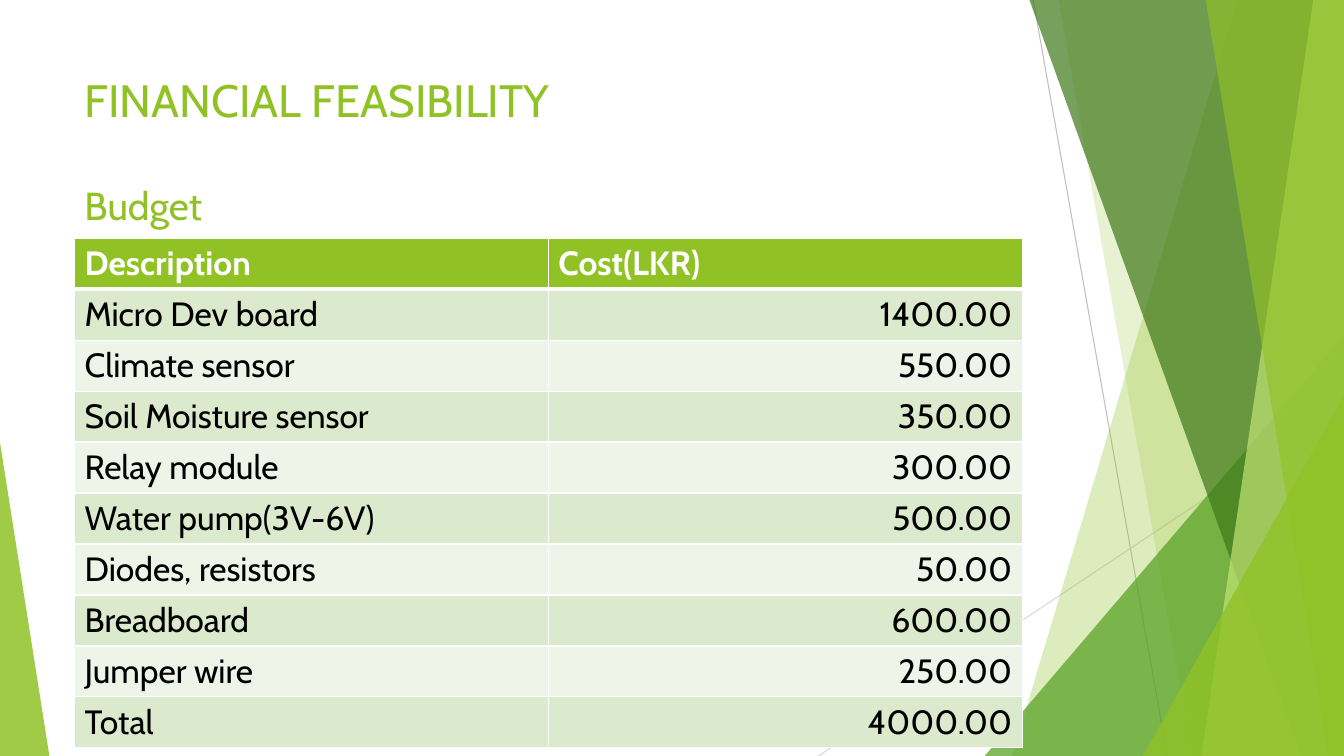
from lxml import etree
from pptx import Presentation
from pptx.dml.color import RGBColor
from pptx.enum.shapes import MSO_CONNECTOR, MSO_SHAPE
from pptx.enum.text import PP_ALIGN
from pptx.oxml.ns import qn
from pptx.util import Pt

STRAIGHT = MSO_CONNECTOR.STRAIGHT
TRIANGLE = MSO_SHAPE.ISOSCELES_TRIANGLE
LEFT, RIGHT = PP_ALIGN.LEFT, PP_ALIGN.RIGHT

THEME = {
    "font": "Cabin",
    "title": 32.4, "subtitle": 27.9, "cell": 24,
    "lime": "90C226", "green": "54A021", "forest": "3F7819", "pale": "C0E474",
    "gray": "BFBFBF", "light_gray": "D9D9D9",
    "white": "FFFFFF", "black": "000000",
    "bands": ("DBE9CD", "EEF4E8"),
}


def paint(shape, color, opacity):
    shape.shadow.inherit = False
    shape.line.fill.background()
    shape.fill.solid()
    shape.fill.fore_color.rgb = RGBColor.from_string(THEME[color])
    tint = shape.fill._xPr.find(qn("a:solidFill"))[0]
    etree.SubElement(tint, qn("a:alpha"), val=str(opacity * 1000))


def write(paragraph, text, size, color, bold=False):
    run = paragraph.add_run()
    run.text = text
    run.font.color.rgb = RGBColor.from_string(color)
    formats = {"name": THEME["font"], "size": Pt(size), "bold": bold}
    for name, value in formats.items():
        setattr(run.font, name, value)


prs = Presentation()
prs.slide_width, prs.slide_height = Pt(960), Pt(540)
slide = prs.slides.add_slide(prs.slide_layouts[6])
shapes = slide.shapes

# Thin lines behind the facets
for ends, color in [((738, 0, 833.8, 540), "gray"),
                    ((960, 290.2, 584.6, 540), "light_gray")]:
    ray = shapes.add_connector(STRAIGHT, *map(Pt, ends))
    ray.line.width = Pt(0.75)
    ray.line.color.rgb = RGBColor.from_string(THEME[color])
    etree.SubElement(ray._element.spPr, qn("a:effectLst"))

# Facets: bands are (top x, bottom x) up to the right edge,
# triangles are (left, top, width, height, apex)
facets = [
    ((884.2, 722.9), "lime", 30),
    ((756, 851.8), "lime", 20),
    ((703.4, 239.8, 256.6, 300.2, 1), "green", 72),
    ((735.1, 929.5), "forest", 70),
    ((938.2, 858.2), "pale", 70),
    ((861.1, 949), "lime", 65),
    ((816.5, 283, 143.5, 257, 1), "lime", 80),
    ((0, 316.1, 35.3, 223.9, 0), "lime", 85),
]
for outline, color, opacity in facets:
    if len(outline) == 2:
        top_x, bottom_x = outline
        builder = shapes.build_freeform(Pt(top_x), Pt(-0.7))
        corners = [(960, -0.7), (960, 540), (bottom_x, 540)]
        builder.add_line_segments([(Pt(x), Pt(y)) for x, y in corners])
        facet = builder.convert_to_shape()
    else:
        *box, apex = outline
        facet = shapes.add_shape(TRIANGLE, *map(Pt, box))
        facet.adjustments[0] = apex
    paint(facet, color, opacity)

# Heading
heading = shapes.add_textbox(Pt(53.3), Pt(48.2), Pt(676.8), Pt(103.7)).text_frame
heading.word_wrap = True
write(heading.paragraphs[0], "FINANCIAL FEASIBILITY", THEME["title"], THEME["lime"])
subtitle = heading.add_paragraph()
subtitle.space_before = Pt(38.8)
write(subtitle, "Budget", THEME["subtitle"], THEME["lime"])

# Budget table
budget = [
    ("Description", "Cost(LKR)"),
    ("Micro Dev board", "1400.00"),
    ("Climate sensor", "550.00"),
    ("Soil Moisture sensor", "350.00"),
    ("Relay module", "300.00"),
    ("Water pump(3V-6V)", "500.00"),
    ("Diodes, resistors", "50.00"),
    ("Breadboard", "600.00"),
    ("Jumper wire", "250.00"),
    ("Total", "4000.00"),
]
ROW_HEIGHT = 36.4
table = shapes.add_table(len(budget), 2, Pt(53.3), Pt(170.2), Pt(676.8),
                         Pt(ROW_HEIGHT * len(budget))).table
for r, entry in enumerate(budget):
    is_header = r == 0
    fill = THEME["lime"] if is_header else THEME["bands"][(r - 1) % 2]
    ink = THEME["white"] if is_header else THEME["black"]
    for c, text in enumerate(entry):
        cell = table.cell(r, c)
        paragraph = cell.text_frame.paragraphs[0]
        paragraph.alignment = RIGHT if c and not is_header else LEFT
        write(paragraph, text, THEME["cell"], ink, is_header)

        # White borders, heavier under the header
        borders = {"lnL": 1, "lnR": 1,
                   "lnT": 3 if r == 1 else 1, "lnB": 3 if is_header else 1}
        for side, width in borders.items():
            border = etree.SubElement(cell._tc.get_or_add_tcPr(), qn(f"a:{side}"),
                                      w=str(Pt(width)))
            stroke = etree.SubElement(border, qn("a:solidFill"))
            etree.SubElement(stroke, qn("a:srgbClr"), val=THEME["white"])
        cell.fill.solid()
        cell.fill.fore_color.rgb = RGBColor.from_string(fill)

prs.save("out.pptx")
